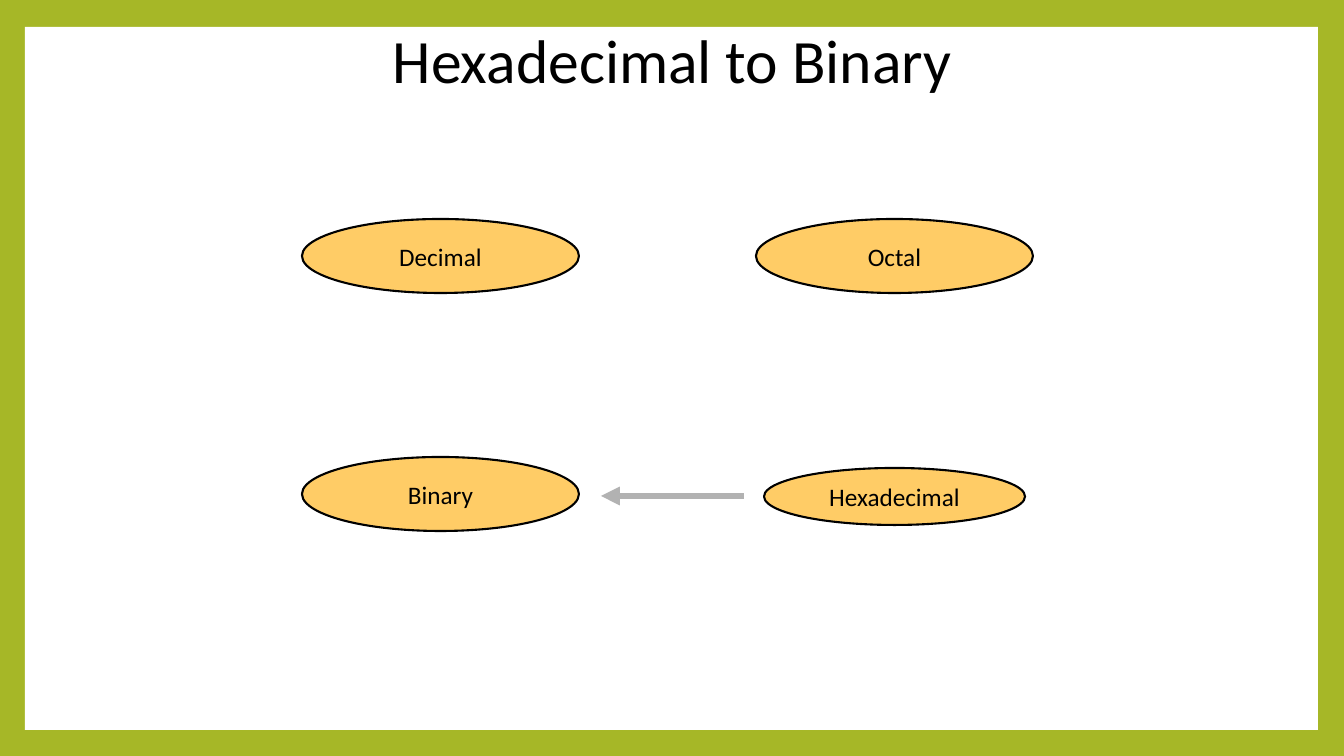
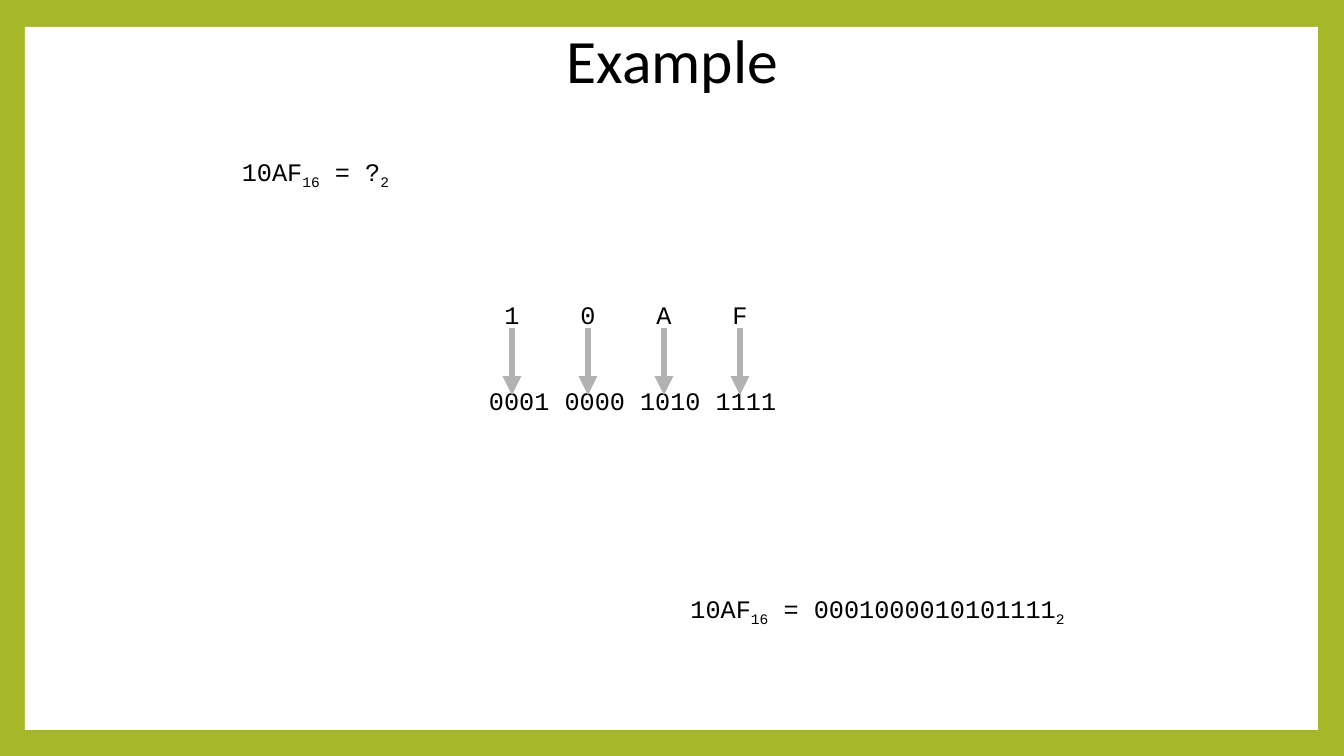
import pptx
import pptx.util
import pptx.dml.color
import pptx.enum.shapes
import pptx.enum.text
import pptx.oxml.ns
from lxml import etree

HUES = {"edge": "A6B727", "page": "FFFFFF", "ink": "000000",
        "oval": "FFCC66", "arrow": "B2B2B2"}
SANS, MONO = "Calibri", "Courier New"
WIDE, HIGH = 1344, 756
FRAME = (25, 27, 1293, 703)
TITLE = (244, 17, 857, 84)

OVALS = [
    ("Decimal", (302, 219, 277, 74)),
    ("Octal", (756, 219, 277, 74)),
    ("Binary", (302, 457, 277, 74)),
    ("Hexadecimal", (764, 468, 261, 57)),
]
LINK = (744, 496, 601, 496)

SUMS = [
    ((202, 151, 227, 40), ["10AF", "16", " = ?", "2"]),
    ((613, 588, 529, 40), ["10AF", "16", " = 0001000010101111", "2"]),
]
DIGITS = ["1", "0", "A", "F"]
NIBBLES = ["0001", "0000", "1010", "1111"]
GRID = (479, 294, 420, 132)
INSET, FIRST, PITCH = 10, 512, 76
ARROW_TOP, ARROW_END = 328, 395

SHAPE = pptx.enum.shapes.MSO_SHAPE
ALIGN = pptx.enum.text.PP_ALIGN
ANCHOR = pptx.enum.text.MSO_ANCHOR
SIZE = pptx.enum.text.MSO_AUTO_SIZE
qn = pptx.oxml.ns.qn


def px(n):
    return pptx.util.Emu(round(n * 914400 / 100.8))


def box(rect):
    return [px(n) for n in rect]


def hue(name):
    return pptx.dml.color.RGBColor.from_string(HUES[name])


def style(para, face, size=18, align=ALIGN.CENTER):
    para.alignment = align
    para.font.name = face
    para.font.size = pptx.util.Pt(size)
    para.font.color.rgb = hue("ink")


def add_form(shapes, kind, rect, fill):
    form = shapes.add_shape(kind, *box(rect))
    form.shadow.inherit = False
    form.fill.solid()
    form.fill.fore_color.rgb = hue(fill)
    form.line.fill.background()
    return form


def add_oval(shapes, label, rect):
    oval = add_form(shapes, SHAPE.OVAL, rect, "oval")
    oval.line.color.rgb = hue("ink")
    oval.line.width = pptx.util.Pt(1.5)
    text = oval.text_frame
    text.word_wrap = False
    text.vertical_anchor = ANCHOR.MIDDLE
    text.text = label
    style(text.paragraphs[0], SANS)


def add_arrow(shapes, ends):
    line = shapes.add_connector(
        pptx.enum.shapes.MSO_CONNECTOR.STRAIGHT, *box(ends))
    line.line.color.rgb = hue("arrow")
    line.line.width = pptx.util.Pt(4.5)
    etree.SubElement(line.line._get_or_add_ln(), qn("a:tailEnd"), type="triangle")
    etree.SubElement(line._element.spPr, qn("a:effectLst"))


def add_text(shapes, rect):
    text = shapes.add_textbox(*box(rect)).text_frame
    text.word_wrap = True
    return text


def add_sum(shapes, rect, parts):
    para = add_text(shapes, rect).paragraphs[0]
    for i, part in enumerate(parts):
        run = para.add_run()
        run.text = part
        if i % 2:
            run._r.get_or_add_rPr().set("baseline", "-25000")
    style(para, MONO)


def add_grid(shapes):
    group = shapes.add_group_shape().shapes
    text = add_text(group, GRID)
    mids = [FIRST + i * PITCH for i in range(len(DIGITS))]
    top = text.paragraphs[0]
    top.text = "".join("\t" + digit for digit in DIGITS)
    tabs = etree.SubElement(top._p.get_or_add_pPr(), qn("a:tabLst"))
    for mid in mids:
        etree.SubElement(tabs, qn("a:tab"),
                         pos=str(px(mid - GRID[0] - INSET)), algn="ctr")
    low = text.add_paragraph()
    low.text = " ".join(NIBBLES)
    low.space_before = pptx.util.Pt(40)
    for para in (top, low):
        style(para, MONO, align=ALIGN.LEFT)
    for mid in mids:
        add_arrow(group, (mid, ARROW_TOP, mid, ARROW_END))


def add_slide(deck, layout, title):
    slide = deck.slides.add_slide(layout)
    head = slide.shapes.title
    head.left, head.top, head.width, head.height = box(TITLE)
    text = head.text_frame
    text.text = title
    text.auto_size = SIZE.NONE
    text.vertical_anchor = ANCHOR.TOP
    style(text.paragraphs[0], SANS, 44)
    return slide.shapes


def main():
    deck = pptx.Presentation()
    deck.slide_width, deck.slide_height = px(WIDE), px(HIGH)
    layout = deck.slide_layouts.get_by_name("Title Only")
    layout.background.fill.solid()
    layout.background.fill.fore_color.rgb = hue("edge")

    shapes = add_slide(deck, layout, "Hexadecimal to Binary")
    frame = add_form(shapes, SHAPE.RECTANGLE, FRAME, "page")
    layout.shapes._spTree.insert(2, frame._element)
    for label, rect in OVALS:
        add_oval(shapes, label, rect)
    add_arrow(shapes, LINK)

    shapes = add_slide(deck, layout, "Example")
    add_sum(shapes, *SUMS[0])
    add_grid(shapes)
    add_sum(shapes, *SUMS[1])

    deck.save("out.pptx")


if __name__ == "__main__":
    main()
